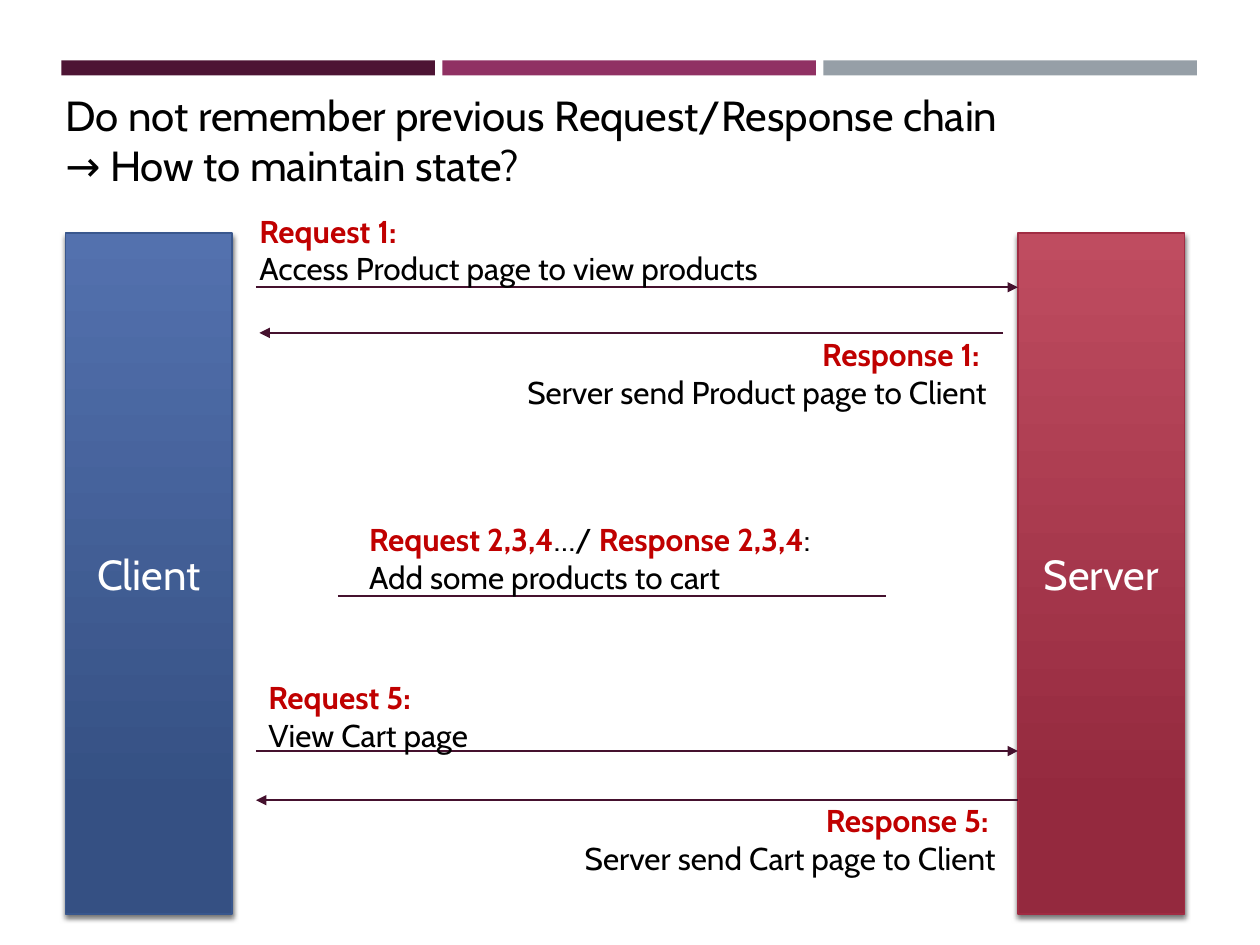
from dataclasses import dataclass

from lxml.etree import SubElement
from pptx import Presentation
from pptx.dml.color import RGBColor
from pptx.enum.shapes import MSO_CONNECTOR, MSO_SHAPE
from pptx.enum.text import MSO_ANCHOR, PP_ALIGN
from pptx.oxml.ns import qn
from pptx.util import Cm, Pt


@dataclass(frozen=True)
class Theme:
    font: str = "Cabin"
    title_size: int = 24
    label_size: int = 18
    text: str = "000000"
    accent: str = "C00000"
    on_dark: str = "FFFFFF"
    arrow: str = "45112E"
    bars: tuple = ("4D1434", "903163", "969FA7")
    client: tuple = ("5371AE", "355083", "39578D")  # top, bottom, outline
    server: tuple = ("BF4C60", "94293E", "A02C43")


THEME = Theme()
CLIENT_X, SERVER_X = 1.32, 20.52
ARROW_X = 5.16
LABEL_H = 1.8


def rgb(value):
    return RGBColor.from_string(value)


def add_run(p, text, size, color, bold=False):
    r = p.add_run()
    r.text = text
    r.font.name = THEME.font
    r.font.size = Pt(size)
    r.font.bold = bold
    r.font.color.rgb = rgb(color)


def add_text(slide, x, y, w, h, lines, size, align=PP_ALIGN.LEFT):
    """Each line is a list of (text, is_accent) runs; accents are bold red."""
    tf = slide.shapes.add_textbox(Cm(x), Cm(y), Cm(w), Cm(h)).text_frame
    tf.word_wrap = True
    for i, runs in enumerate(lines):
        p = tf.add_paragraph() if i else tf.paragraphs[0]
        p.alignment = align
        for text, accent in runs:
            add_run(p, text, size, THEME.accent if accent else THEME.text, accent)


def add_label(slide, x, y, w, heading, detail, align=PP_ALIGN.LEFT):
    add_text(slide, x, y, w, LABEL_H, [heading, [(detail, False)]],
             THEME.label_size, align)


def add_header_bars(slide):
    for i, color in enumerate(THEME.bars):
        s = slide.shapes.add_shape(MSO_SHAPE.RECTANGLE, Cm(1.24 + 7.68 * i),
                                   Cm(1.22), Cm(7.53), Cm(0.3))
        s.shadow.inherit = False
        s.fill.solid()
        s.fill.fore_color.rgb = rgb(color)
        s.line.fill.background()


def add_drop_shadow(s):
    s.shadow.inherit = False
    effects = s._element.spPr.find(qn("a:effectLst"))
    shadow = SubElement(effects, qn("a:outerShdw"), blurRad=str(Pt(3)),
                        dist=str(Pt(2)), dir="5400000", rotWithShape="0")
    color = SubElement(shadow, qn("a:srgbClr"), val="000000")
    SubElement(color, qn("a:alpha"), val="55000")


def add_endpoint(slide, x, name, colors):
    """Tall gradient column for one side of the exchange."""
    top, bottom, outline = colors
    s = slide.shapes.add_shape(MSO_SHAPE.RECTANGLE, Cm(x), Cm(4.7),
                               Cm(3.36), Cm(13.72))
    s.fill.gradient()
    s.fill.gradient_angle = 270
    for stop, color, position in zip(s.fill.gradient_stops, (top, bottom), (0, 0.84)):
        stop.color.rgb = rgb(color)
        stop.position = position
    s.line.color.rgb = rgb(outline)
    s.line.width = Pt(1)
    add_drop_shadow(s)
    tf = s.text_frame
    tf.vertical_anchor = MSO_ANCHOR.MIDDLE
    p = tf.paragraphs[0]
    p.alignment = PP_ALIGN.CENTER
    add_run(p, name, THEME.title_size, THEME.on_dark)


def add_message_line(slide, x1, x2, y, arrow=True):
    c = slide.shapes.add_connector(MSO_CONNECTOR.STRAIGHT, Cm(x1), Cm(y), Cm(x2), Cm(y))
    c.line.color.rgb = rgb(THEME.arrow)
    c.line.width = Pt(1)
    if arrow:
        SubElement(c.line._get_or_add_ln(), qn("a:tailEnd"), type="triangle")
    SubElement(c._element.spPr, qn("a:effectLst"))


def main():
    prs = Presentation()
    prs.slide_width, prs.slide_height = Cm(25.4), Cm(19.05)
    slide = prs.slides.add_slide(prs.slide_layouts[6])

    add_header_bars(slide)
    add_text(slide, 1.07, 1.68, 22.38, 2.31,
             [[("Do not remember previous Request/Response chain", False)],
              [("→ How to maintain state?", False)]], THEME.title_size)
    add_endpoint(slide, CLIENT_X, "Client", THEME.client)
    add_endpoint(slide, SERVER_X, "Server", THEME.server)

    add_message_line(slide, ARROW_X, SERVER_X, 5.79)
    add_message_line(slide, 20.22, 5.23, 6.71)
    add_message_line(slide, 6.81, 17.86, 12.01, arrow=False)
    add_message_line(slide, ARROW_X, SERVER_X, 15.14)
    add_message_line(slide, SERVER_X, ARROW_X, 16.13)

    add_label(slide, 4.98, 4.14, 12.6, [("Request 1:", True)],
              "Access Product page to view products")
    add_label(slide, 8.71, 6.63, 11.43, [("Response 1: ", True)],
              "Server send Product page to Client", PP_ALIGN.RIGHT)
    add_label(slide, 7.19, 10.36, 10.67,
              [("Request 2,3,4", True), ("…/ ", False),
               ("Response 2,3,4", True), (":", False)],
              "Add some products to cart")
    add_label(slide, 5.16, 13.54, 5.49, [("Request 5:", True)], "View Cart page")
    add_label(slide, 9.98, 16.03, 10.34, [("Response 5: ", True)],
              "Server send Cart page to Client", PP_ALIGN.RIGHT)

    prs.save("out.pptx")


if __name__ == "__main__":
    main()
